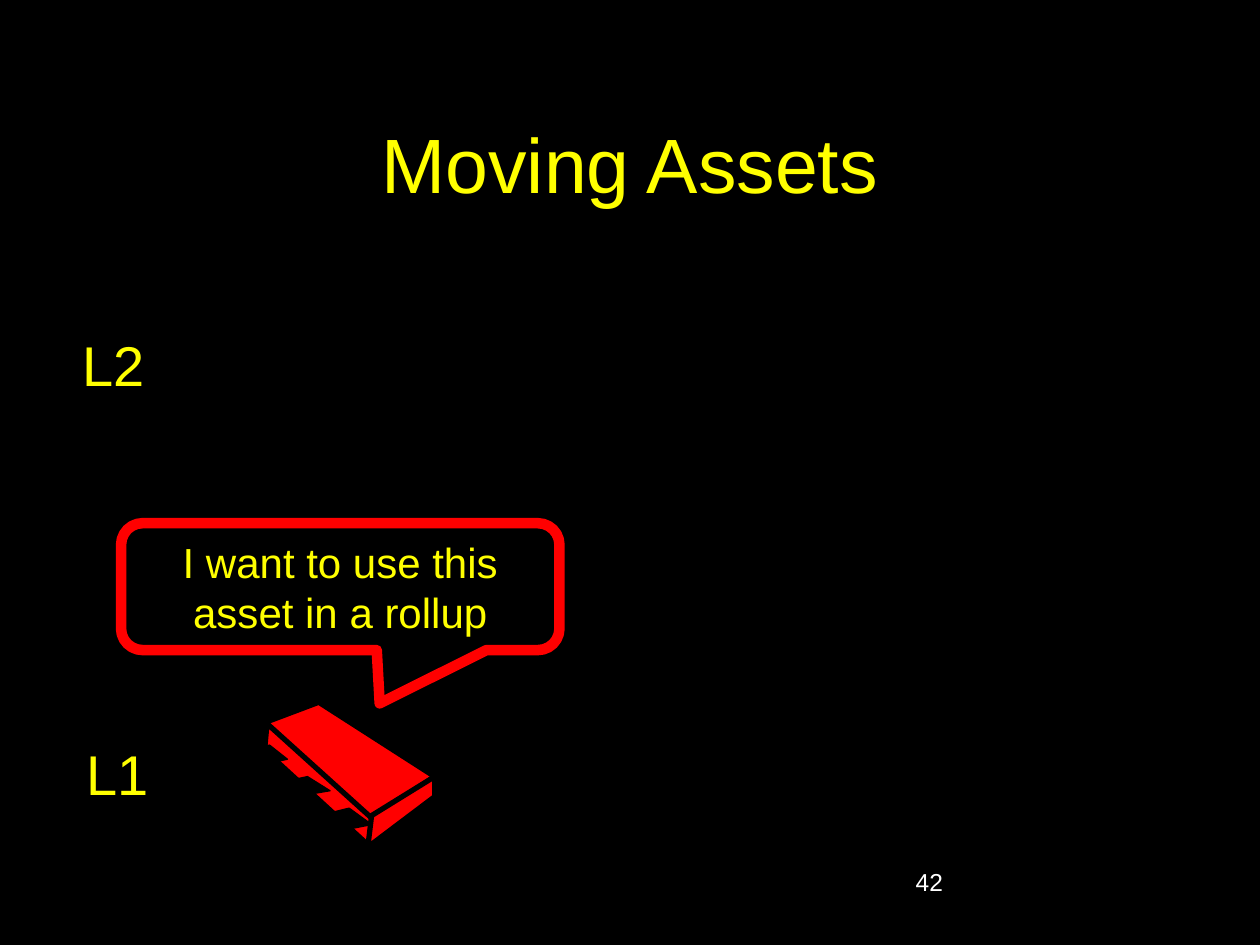
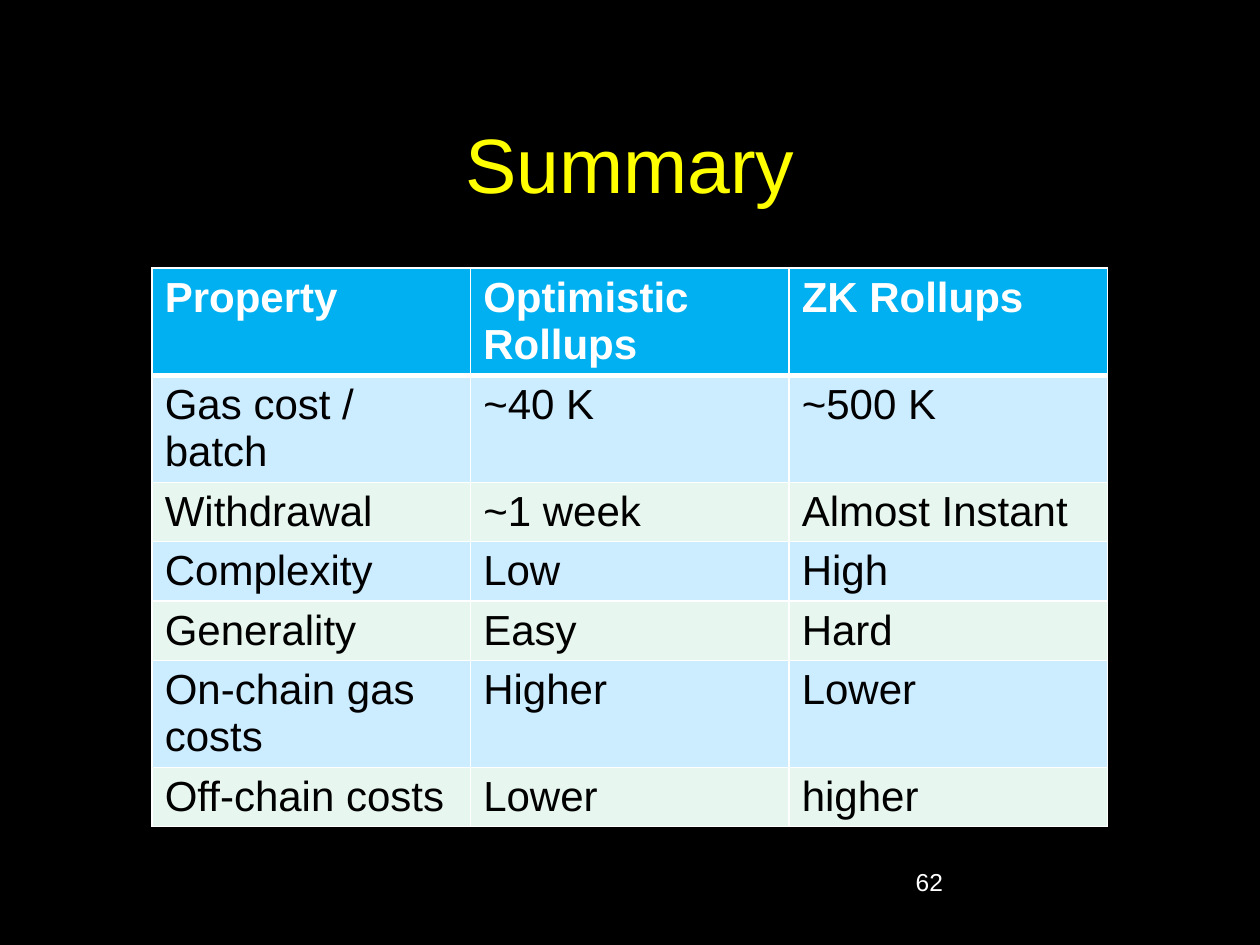
"""Builds two slides on rollups: moving assets and a summary table."""
from lxml import etree
from pptx import Presentation
from pptx.dml.color import RGBColor
from pptx.enum.shapes import MSO_SHAPE
from pptx.enum.text import MSO_ANCHOR, PP_ALIGN
from pptx.oxml.ns import qn
from pptx.util import Pt

LEFT, CENTER = PP_ALIGN.LEFT, PP_ALIGN.CENTER
TOP, MIDDLE = MSO_ANCHOR.TOP, MSO_ANCHOR.MIDDLE
CALLOUT = MSO_SHAPE.ROUNDED_RECTANGULAR_CALLOUT
RECTANGLE = MSO_SHAPE.RECTANGLE

BLACK = RGBColor(0x00, 0x00, 0x00)
WHITE = RGBColor(0xFF, 0xFF, 0xFF)
YELLOW = RGBColor(0xFF, 0xFF, 0x00)
RED = RGBColor(0xFF, 0x00, 0x00)
HEADER_BLUE = RGBColor(0x00, 0xB0, 0xF0)
BAND_BLUE = RGBColor(0xCC, 0xEC, 0xFF)
BAND_GREEN = RGBColor(0xE7, 0xF6, 0xEF)

FONT = "Arial"
TITLE_ONLY = 5

BACK_PIN = [(0, 6), (12, 0), (18, 6), (18, 42), (12, 36), (12, 12), (0, 18)]
FRONT_PIN = [(17.3, 0), (30.2, 9.4), (8.6, 13.7), (8.6, 41.8), (0, 32.4), (0, 4.3)]
BACK_PINS = [(95.8, 30.2, 1, 1), (69.8, 12.2, 1, 1), (41.8, 0, 1, 0.86)]
FRONT_PINS = [(41.8, 60.5, 1, 1), (18, 42.5, 1, 0.86), (0, 24.5, 0.79, 0.86)]
CHIP_FACES = [
    [(41.8, 0), (108, 42.5), (71.3, 67), (9.4, 12.2)],
    [(12.2, 12.2), (72, 66.2), (71.3, 82.8), (10.8, 27.4)],
    [(108, 42.5), (108, 54), (69.8, 82.8), (72, 64.8)],
]

ONE_LINE, TWO_LINES = 33.9, 60.9
SUMMARY_ROWS = [
    (TWO_LINES, "Property", "Optimistic Rollups", "ZK Rollups"),
    (TWO_LINES, "Gas cost / batch", "~40 K", "~500 K"),
    (ONE_LINE, "Withdrawal", "~1 week", "Almost Instant"),
    (ONE_LINE, "Complexity", "Low", "High"),
    (ONE_LINE, "Generality", "Easy", "Hard"),
    (TWO_LINES, "On-chain gas costs", "Higher", "Lower"),
    (ONE_LINE, "Off-chain costs", "Lower", "higher"),
]


def write(frame, text, size=24, color=YELLOW, bold=False, align=LEFT, anchor=TOP, wrap=True):
    """Put one formatted paragraph in a text frame."""
    frame.word_wrap = wrap
    frame.vertical_anchor = anchor
    para = frame.paragraphs[0]
    para.alignment = align
    span = para.add_run()
    span.text = text
    span.font.name = FONT
    span.font.size = Pt(size)
    span.font.bold = bold
    span.font.color.rgb = color


def paint(shape, fill, line=None, width=0.75):
    """Give a shape its fill and outline, without a shadow."""
    shape.shadow.inherit = False
    shape.fill.solid()
    shape.fill.fore_color.rgb = fill
    if line is None:
        shape.line.fill.background()
    else:
        shape.line.color.rgb = line
        shape.line.width = Pt(width)


def add_page(deck, title, number):
    """Add a slide with its title and page number."""
    page = deck.slides.add_slide(deck.slide_layouts[TITLE_ONLY])
    heading = page.shapes.title
    heading.left, heading.top, heading.width, heading.height = Pt(54), Pt(48), Pt(612), Pt(90)
    write(heading.text_frame, title, size=44, align=CENTER, anchor=MIDDLE)
    footer = page.shapes.add_textbox(Pt(516.2), Pt(492), Pt(150), Pt(36))
    write(footer.text_frame, str(number), size=14, color=WHITE)
    return page


def add_outline(group, points, left, top, fill, width):
    """Draw a closed outline from points relative to left and top."""
    corners = [(Pt(left + x), Pt(top + y)) for x, y in points]
    builder = group.shapes.build_freeform(*corners[0])
    builder.add_line_segments(corners[1:], close=True)
    paint(builder.convert_to_shape(), fill, BLACK, width)


def add_pins(group, outline, pins, left, top):
    """Draw a row of chip pins, each a stretched form of one outline."""
    for x, y, stretch_x, stretch_y in pins:
        points = [(px * stretch_x, py * stretch_y) for px, py in outline]
        add_outline(group, points, left + x, top + y, BLACK, 0.75)


def add_chip(page, left, top):
    """Draw the red chip that stands for the asset."""
    group = page.shapes.add_group_shape()
    add_pins(group, BACK_PIN, BACK_PINS, left, top)
    for face in CHIP_FACES:
        add_outline(group, face, left, top, RED, 3)
    add_pins(group, FRONT_PIN, FRONT_PINS, left, top)


def add_callout(page, text, left, top, width, height):
    """Draw the speech bubble above the chip."""
    bubble = page.shapes.add_shape(CALLOUT, Pt(left), Pt(top), Pt(width), Pt(height))
    for index, value in enumerate((0.09, 0.92, 0.17)):
        bubble.adjustments[index] = value
    paint(bubble, BLACK, RED, 6)
    write(bubble.text_frame, text, align=CENTER, anchor=MIDDLE)


def add_layer_label(page, text, left, top, width):
    """Name a chain layer at the left edge."""
    label = page.shapes.add_shape(RECTANGLE, Pt(left), Pt(top), Pt(width), Pt(46))
    paint(label, BLACK)
    write(label.text_frame, text, size=32, wrap=False)


def set_border(cell, side, width):
    """Draw a white border on one side of a cell."""
    line = etree.SubElement(cell._tc.get_or_add_tcPr(), qn(f"a:ln{side}"), w=str(Pt(width)))
    fill = etree.SubElement(line, qn("a:solidFill"))
    etree.SubElement(fill, qn("a:srgbClr"), val=str(WHITE))


def add_summary_table(page, rows, left, top, width):
    """Add the banded comparison table with a heavy rule under its header."""
    height = sum(row[0] for row in rows)
    table = page.shapes.add_table(
        len(rows), len(rows[0]) - 1, Pt(left), Pt(top), Pt(width), Pt(height)).table
    for row, (row_height, *texts) in enumerate(rows):
        table.rows[row].height = Pt(row_height)
        header = row == 0
        band = HEADER_BLUE if header else (BAND_GREEN, BAND_BLUE)[row % 2]
        widths = {"L": 1, "R": 1, "T": 3 if row == 1 else 1, "B": 3 if header else 1}
        for column, text in enumerate(texts):
            cell = table.cell(row, column)
            cell.margin_bottom = Pt(0)
            for side, border in widths.items():
                set_border(cell, side, border)
            cell.fill.solid()
            cell.fill.fore_color.rgb = band
            write(cell.text_frame, text, color=WHITE if header else BLACK, bold=header)


def build_moving_assets(deck):
    """Build the slide where an asset asks to move to a rollup."""
    page = add_page(deck, "Moving Assets", 42)
    add_chip(page, 140.4, 401.3)
    add_callout(page, "I want to use this asset in a rollup", 69.2, 299, 250.5, 72.5)
    add_layer_label(page, "L1", 42.5, 419, 50)
    add_layer_label(page, "L2", 40, 185.4, 59)


def build_summary(deck):
    """Build the slide that compares the two kinds of rollup."""
    page = add_page(deck, "Summary", 62)
    add_summary_table(page, SUMMARY_ROWS, 87, 153.2, 546)


def main():
    """Build and save the deck."""
    deck = Presentation()
    deck.slide_width, deck.slide_height = Pt(720), Pt(540)
    backdrop = deck.slide_master.background.fill
    backdrop.solid()
    backdrop.fore_color.rgb = BLACK
    build_moving_assets(deck)
    build_summary(deck)
    deck.save("out.pptx")


if __name__ == "__main__":
    main()
